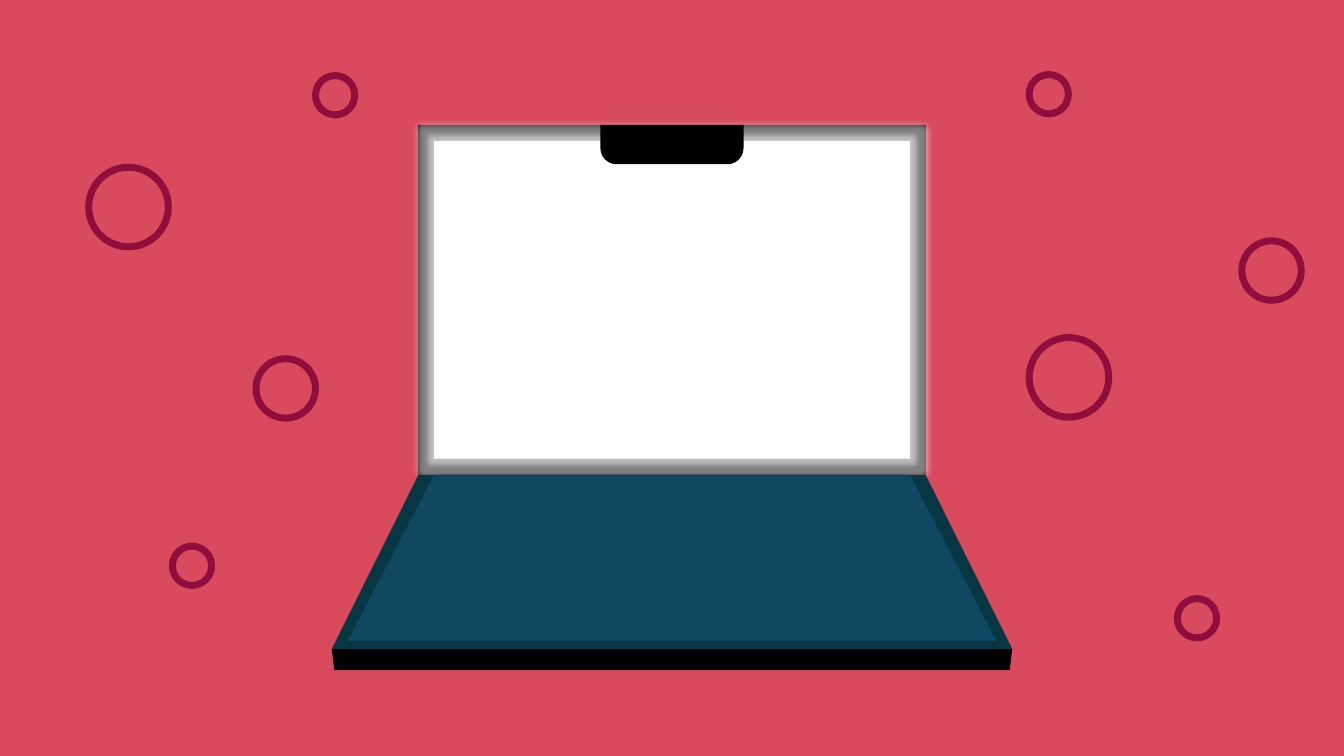
from lxml import etree
from pptx import Presentation
from pptx.dml.color import RGBColor
from pptx.enum.shapes import MSO_SHAPE
from pptx.oxml.ns import qn
from pptx.util import Inches, Pt

COLORS = {
    "backdrop": "DA4A5F",
    "body": "000000",
    "screen": "FFFFFF",
    "deck_edge": "063742",
    "deck": "104862",
    "bubble": "900E3C",
}
COLUMNS = 160
SLIDE_WIDTH, SLIDE_HEIGHT = Inches(13.33), Inches(7.5)
CELL = SLIDE_WIDTH / COLUMNS
ROWS = SLIDE_HEIGHT / CELL


def color(name):
    return RGBColor.from_string(COLORS[name])


def add_part(slide, kind, box, fill=None, adjustments=()):
    part = slide.shapes.add_shape(kind, *(round(CELL * cells) for cells in box))
    part.shadow.inherit = False
    for index, value in enumerate(adjustments):
        part.adjustments[index] = value
    part.line.fill.background()
    if fill:
        part.fill.solid()
        part.fill.fore_color.rgb = color(fill)
    else:
        part.fill.background()
    return part


def add_glow(part, name, radius, opacity):
    effects = part._element.spPr.find(qn("a:effectLst"))
    glow = etree.SubElement(effects, qn("a:glow"), rad=str(radius))
    tint = etree.SubElement(glow, qn("a:srgbClr"), val=COLORS[name])
    etree.SubElement(tint, qn("a:alpha"), val=str(opacity * 1000))


def add_lid(slide, box):
    left, top, width, height = box
    bezel = 1.89
    notch_width, notch_height = 17.04, 4.68
    add_part(slide, MSO_SHAPE.RECTANGLE, box, "body")
    screen = add_part(
        slide, MSO_SHAPE.RECTANGLE,
        (left + bezel, top + bezel, width - 2 * bezel, height - 2 * bezel), "screen")
    add_glow(screen, "screen", Pt(8), 50)
    add_part(
        slide, MSO_SHAPE.ROUND_2_SAME_RECTANGLE,
        (left + (width - notch_width) / 2, top, notch_width, notch_height),
        "body", (0, 0.41))


def add_base(slide, box):
    left, top, width, height = box
    slant, side, front, foot_height = 10.32, 1.89, 0.96, 2.52
    edge_height = height - foot_height
    deck_height = edge_height - front
    add_part(slide, MSO_SHAPE.TRAPEZOID, (left, top, width, edge_height),
             "deck_edge", (slant / edge_height,))
    add_part(slide, MSO_SHAPE.TRAPEZOID, (left + side, top, width - 2 * side, deck_height),
             "deck", (slant / deck_height,))
    foot = add_part(slide, MSO_SHAPE.TRAPEZOID,
                    (left, top + edge_height, width, foot_height), "body", (0.12,))
    foot.rotation = 180


def add_laptop(slide, box):
    left, top, width, height = box
    lid_width, lid_height = 60.48, 41.64
    add_lid(slide, (left + (width - lid_width) / 2, top, lid_width, lid_height))
    add_base(slide, (left, top + lid_height, width, height - lid_height))


def add_bubbles(slide, box):
    left, top, width, height = box
    large, medium, small = 9.48, 7.08, 4.68
    bubbles = [
        (10.56, 19.92, large),
        (30.48, 42.72, medium),
        (20.52, 65.04, small),
        (122.52, 40.2, large),
        (147.84, 28.68, medium),
        (37.56, 9, small),
        (122.52, 8.88, small),
        (140.16, 71.28, small),
    ]
    for column, row, size in bubbles:
        bubble = add_part(
            slide, MSO_SHAPE.OVAL,
            (left + column * width / COLUMNS, top + row * height / ROWS, size, size))
        bubble.line.color.rgb = color("bubble")
        bubble.line.width = Pt(5)


def main():
    deck = Presentation()
    deck.slide_width, deck.slide_height = SLIDE_WIDTH, SLIDE_HEIGHT
    slide = deck.slides.add_slide(deck.slide_layouts[6])
    slide.background.fill.solid()
    slide.background.fill.fore_color.rgb = color("backdrop")
    add_laptop(slide, (39.5, 14.88, 81, 64.92))
    add_bubbles(slide, (0, 0, COLUMNS, ROWS))
    deck.save("out.pptx")


if __name__ == "__main__":
    main()
